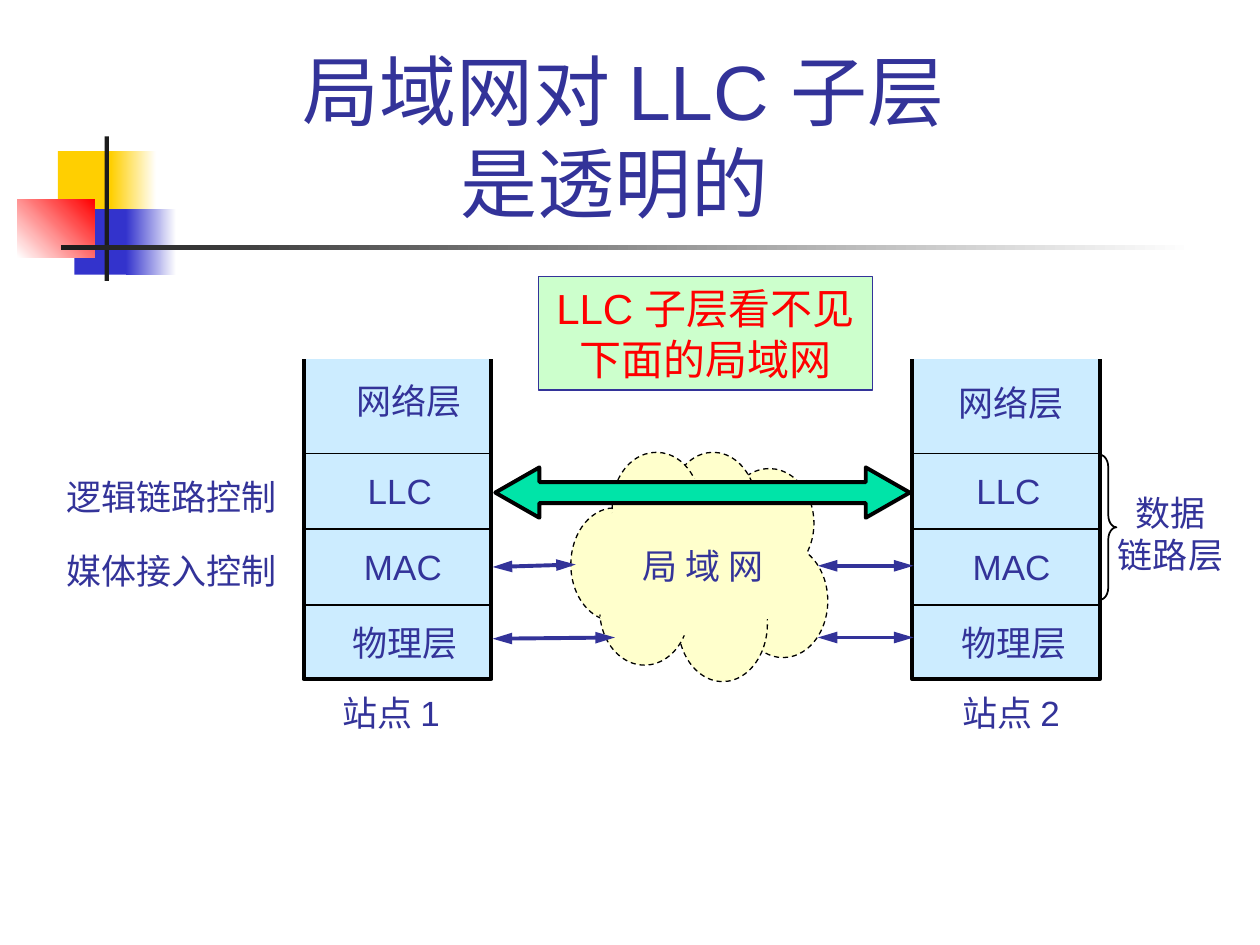
from dataclasses import dataclass
from typing import Optional

from lxml import etree
from pptx import Presentation
from pptx.dml.color import RGBColor
from pptx.enum.dml import MSO_LINE
from pptx.enum.shapes import MSO_CONNECTOR, MSO_SHAPE
from pptx.enum.text import MSO_ANCHOR, MSO_AUTO_SIZE, PP_ALIGN
from pptx.oxml.ns import qn
from pptx.util import Pt

RECTANGLE, OVAL = MSO_SHAPE.RECTANGLE, MSO_SHAPE.OVAL
DOUBLE_ARROW, BRACE = MSO_SHAPE.LEFT_RIGHT_ARROW, MSO_SHAPE.RIGHT_BRACE
STRAIGHT, DASH = MSO_CONNECTOR.STRAIGHT, MSO_LINE.DASH
LEFT, CENTER = PP_ALIGN.LEFT, PP_ALIGN.CENTER
BOTTOM = MSO_ANCHOR.BOTTOM
NO_FIT, GROW = MSO_AUTO_SIZE.NONE, MSO_AUTO_SIZE.SHAPE_TO_FIT_TEXT

WHITE = RGBColor(0xFF, 0xFF, 0xFF)
BLACK = RGBColor(0, 0, 0)
INK = RGBColor(0x33, 0x33, 0x99)
CHARCOAL = RGBColor(0x1C, 0x1C, 0x1C)
GOLD = RGBColor(0xFF, 0xCF, 0x01)
BLUE = RGBColor(0x33, 0x33, 0xCC)
RED = RGBColor(0xFF, 0, 0)
CREAM = RGBColor(0xFF, 0xFF, 0xCC)
SKY = RGBColor(0xCC, 0xEC, 0xFF)
MINT = RGBColor(0xCC, 0xFF, 0xCC)
GREEN = RGBColor(0, 0xE4, 0xA8)
FONT = "Arial"


@dataclass(frozen=True)
class Box:
    left: float
    top: float
    width: float
    height: float

    def lengths(self) -> tuple:
        return Pt(self.left), Pt(self.top), Pt(self.width), Pt(self.height)


@dataclass(frozen=True)
class Ornament:
    box: Box
    start: RGBColor
    end: Optional[RGBColor] = None
    angle: float = 0


@dataclass(frozen=True)
class Label:
    box: Box
    lines: tuple
    align: PP_ALIGN = LEFT


@dataclass(frozen=True)
class Link:
    start: tuple
    end: tuple


@dataclass(frozen=True)
class Station:
    left: float
    caption: str
    caption_inset: float
    network_inset: float
    network_top: float


ORNAMENTS = (
    Ornament(Box(33.1, 86.4, 34.6, 37.4), GOLD),
    Ornament(Box(63.4, 86.4, 25.9, 37.4), GOLD, WHITE),
    Ornament(Box(42.5, 119.5, 33.1, 37.4), BLUE),
    Ornament(Box(72, 119.5, 28.8, 37.4), BLUE, WHITE),
    Ornament(Box(10, 113.8, 44, 33.4), WHITE, RED, 45),
    Ornament(Box(59.8, 78, 2.4, 82.6), CHARCOAL),
    Ornament(Box(34.6, 140.2, 648, 2.5), CHARCOAL, WHITE),
)
CLOUD_PUFFS = (
    Box(421.9, 311, 51.1, 64.8),
    Box(326.2, 290.2, 50.4, 64.8),
    Box(414, 267.8, 51.1, 62.6),
    Box(387.4, 323.3, 51.1, 66.2),
    Box(342.7, 317.5, 51.1, 62.6),
    Box(382.3, 258.5, 50.4, 64.8),
    Box(349.9, 258.5, 50.4, 61.9),
)
CLOUD_CORE = Box(339.1, 273.6, 122.4, 90)
CLOUD_SEAM = ((344.2, 334.1), (347, 337), (344.2, 350.6), (342.7, 351.4),
              (340.2, 347.5), (342, 344.2))
LINKS = (
    Link((281.5, 365), (351.4, 364.3)),
    Link((522, 364.3), (467.3, 364.3)),
    Link((281.5, 324), (329, 322.6)),
    Link((522, 323.3), (467.3, 323.3)),
)
STATIONS = (
    Station(173.5, "站点 1", 15.1, 23.1, 213.1),
    Station(521.3, "站点 2", 21.6, 19.4, 214.6),
)
STATION_TOP, STATION_WIDTH, STATION_HEIGHT = 205.2, 107.3, 182.9
DIVIDERS = (259.2, 302.4, 345.6)
ROW = 31
LAYER_WIDTH = 75
SIDE_LABELS = (
    Label(Box(360, 307.4, 94.3, ROW), ("局 域 网",)),
    Label(Box(31, 268.2, 135, ROW), ("逻辑链路控制",)),
    Label(Box(31, 310.3, 135, ROW), ("媒体接入控制",)),
    Label(Box(631.4, 277.2, LAYER_WIDTH, 54.7), ("数据", "链路层"), CENTER),
)


def add_run(paragraph, text: str, size: float, color: RGBColor) -> None:
    run = paragraph.add_run()
    run.text = text
    run.font.name = FONT
    run.font.size = Pt(size)
    run.font.color.rgb = color


def write_lines(frame, lines: tuple, size: float, color: RGBColor, align: PP_ALIGN) -> None:
    frame.word_wrap = False
    frame.auto_size = GROW
    for index, line in enumerate(lines):
        paragraph = frame.add_paragraph() if index else frame.paragraphs[0]
        paragraph.alignment = align
        add_run(paragraph, line, size, color)


def add_label(slide, label: Label) -> None:
    frame = slide.shapes.add_textbox(*label.box.lengths()).text_frame
    write_lines(frame, label.lines, 20, INK, label.align)


def style(shape, fill: Optional[RGBColor], line: Optional[RGBColor] = None,
          weight: float = 1) -> None:
    shape.shadow.inherit = False
    if fill is None:
        shape.fill.background()
    else:
        shape.fill.solid()
        shape.fill.fore_color.rgb = fill
    if line is None:
        shape.line.fill.background()
    else:
        shape.line.color.rgb = line
        shape.line.width = Pt(weight)


def add_preset(slide, kind: MSO_SHAPE, box: Box, fill: Optional[RGBColor],
               line: Optional[RGBColor] = None, weight: float = 1):
    shape = slide.shapes.add_shape(kind, *box.lengths())
    style(shape, fill, line, weight)
    return shape


def add_outline(slide, points: tuple, closed: bool, fill: RGBColor,
                line: Optional[RGBColor] = None, weight: float = 1) -> None:
    corners = [(Pt(x), Pt(y)) for x, y in points]
    builder = slide.shapes.build_freeform(*corners[0])
    builder.add_line_segments(corners[1:], close=closed)
    style(builder.convert_to_shape(), fill, line, weight)


def add_ornament(slide, ornament: Ornament) -> None:
    block = add_preset(slide, RECTANGLE, ornament.box, ornament.start)
    if ornament.end is not None:
        block.fill.gradient()
        block.fill.gradient_angle = ornament.angle
        for stop, color in zip(block.fill.gradient_stops, (ornament.start, ornament.end)):
            stop.color.rgb = color


def add_link(slide, link: Link, color: RGBColor, weight: float, arrows: bool) -> None:
    ends = [Pt(value) for value in (*link.start, *link.end)]
    connector = slide.shapes.add_connector(STRAIGHT, *ends)
    connector.line.color.rgb = color
    connector.line.width = Pt(weight)
    if arrows:
        outline = connector.line._get_or_add_ln()
        for tag in ("a:headEnd", "a:tailEnd"):
            etree.SubElement(outline, qn(tag), type="triangle", w="med", len="lg")
    etree.SubElement(connector._element.spPr, qn("a:effectLst"))


def add_cloud(slide) -> None:
    for puff in CLOUD_PUFFS:
        add_preset(slide, OVAL, puff, CREAM, BLACK, 0.75).line.dash_style = DASH
    add_preset(slide, OVAL, CLOUD_CORE, CREAM)
    add_outline(slide, CLOUD_SEAM, True, CREAM)


def add_station(slide, station: Station) -> None:
    left, right = station.left, station.left + STATION_WIDTH
    bottom = STATION_TOP + STATION_HEIGHT
    walls = ((left, STATION_TOP), (left, bottom), (right, bottom), (right, STATION_TOP))
    add_outline(slide, walls, False, SKY, BLACK, 2.25)
    for y in DIVIDERS:
        add_link(slide, Link((left + 0.7, y), (right - 0.7, y)), BLACK, 1, False)
    for text, inset, top, width in (
        ("网络层", station.network_inset, station.network_top, LAYER_WIDTH),
        ("LLC", 29.5, 265, 51.1),
        ("MAC", 27.4, 308.2, 59),
        ("物理层", 20.9, 351.4, LAYER_WIDTH),
        (station.caption, station.caption_inset, 391.7, 80.6),
    ):
        add_label(slide, Label(Box(left + inset, top, width, ROW), (text,)))


def add_title(slide) -> None:
    title = slide.shapes.title
    title.left, title.top, title.width, title.height = Box(86.4, 73.4, 540, 60.5).lengths()
    frame = title.text_frame
    frame.auto_size = NO_FIT
    frame.vertical_anchor = BOTTOM
    heading = frame.paragraphs[0]
    heading.alignment = CENTER
    add_run(heading, "局域网对 LLC 子层", 44, INK)
    heading.add_line_break()
    add_run(heading, "是透明的 ", 44, INK)


def main() -> None:
    deck = Presentation()
    deck.slide_width, deck.slide_height = Pt(720), Pt(540)
    slide = deck.slides.add_slide(deck.slide_layouts[5])
    for ornament in ORNAMENTS:
        add_ornament(slide, ornament)
    add_title(slide)
    add_cloud(slide)
    for station in STATIONS:
        add_station(slide, station)
    for link in LINKS:
        add_link(slide, link, INK, 2.25, True)
    llc_arrow = add_preset(slide, DOUBLE_ARROW, Box(283, 267.1, 236.9, 28.8), GREEN, BLACK, 2.25)
    llc_arrow.adjustments[0], llc_arrow.adjustments[1] = 0.417, 0.875
    brace = add_preset(slide, BRACE, Box(628.6, 259.9, 9.4, 82.8), None, BLACK)
    brace.adjustments[0] = 0.75
    for label in SIDE_LABELS:
        add_label(slide, label)
    note = add_preset(slide, RECTANGLE, Box(307.8, 158.1, 190.8, 64.8), MINT, INK, 0.75)
    write_lines(note.text_frame, ("LLC 子层看不见", "下面的局域网"), 24, RED, CENTER)
    deck.save("out.pptx")


if __name__ == "__main__":
    main()
